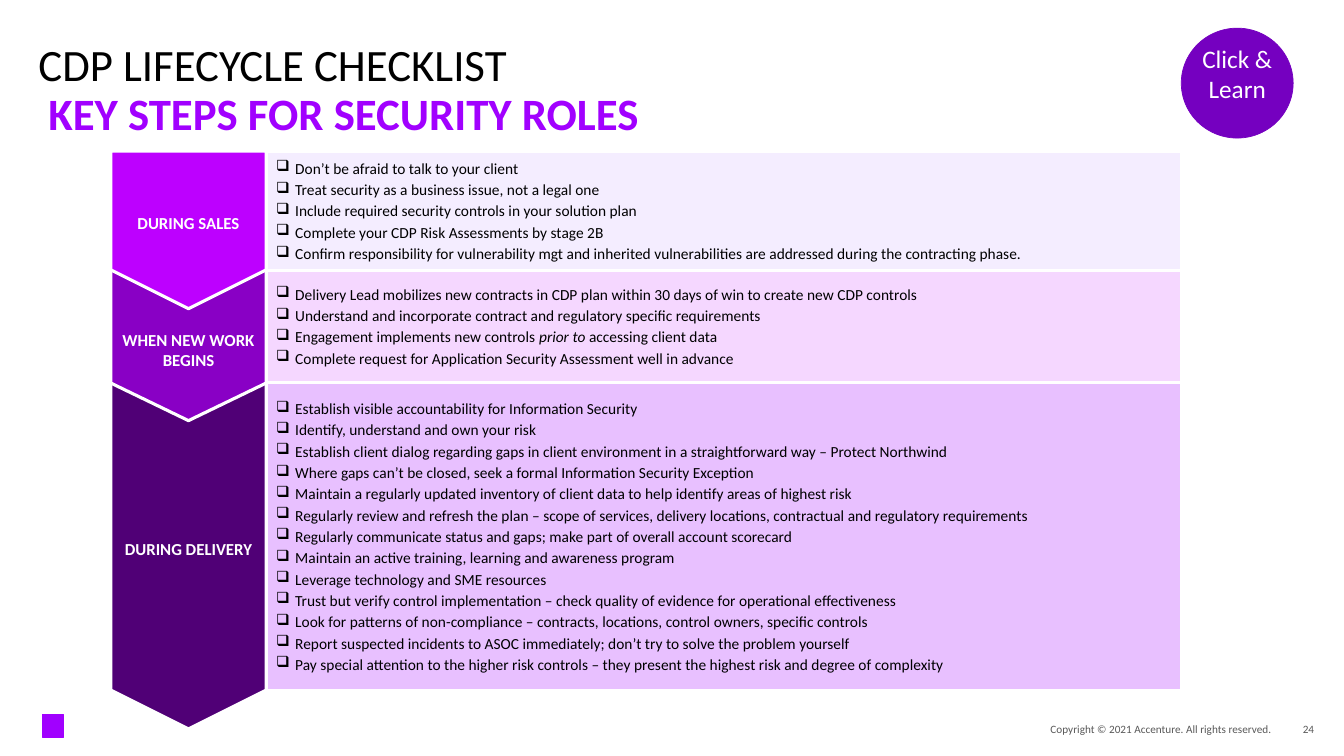
from dataclasses import dataclass

from lxml import etree
from pptx import Presentation
from pptx.dml.color import RGBColor as Rgb
from pptx.enum import shapes, text
from pptx.oxml import ns
from pptx.util import Cm, Pt


@dataclass(frozen=True)
class Theme:
    """Colours and type sizes of the slide."""
    font: str = "Calibri"
    black: str = "000000"
    white: str = "FFFFFF"
    grey: str = "595959"
    accent: str = "A100FF"
    badge: str = "7500C0"
    head: int = 32
    call: int = 18
    label: int = 12
    body: int = 11
    foot: int = 8


THEME = Theme()
MID = text.MSO_ANCHOR.MIDDLE
LOW = text.MSO_ANCHOR.BOTTOM
CENTER = text.PP_ALIGN.CENTER
RIGHT = text.PP_ALIGN.RIGHT
TIP = 0.97

STAGES = [
    ("DURING SALES", "BD00FF", "EADDFF", 3.0, 0, [
        "Don’t be afraid to talk to your client",
        "Treat security as a business issue, not a legal one",
        "Include required security controls in your solution plan",
        "Complete your CDP Risk Assessments by stage 2B",
        "Confirm responsibility for vulnerability mgt and inherited vulnerabilities "
        "are addressed during the contracting phase.",
    ]),
    ("WHEN NEW WORK BEGINS", "8900C5", "ECB0FF", 2.82, 0.58, [
        "Delivery Lead mobilizes new contracts in CDP plan within 30 days of win "
        "to create new CDP controls",
        "Understand and incorporate contract and regulatory specific requirements",
        "Engagement implements new controls *prior to *accessing client data",
        "Complete request for Application Security Assessment well in advance",
    ]),
    ("DURING DELIVERY", "500076", "D283FF", 7.77, 0, [
        "Establish visible accountability for Information Security",
        "Identify, understand and own your risk",
        "Establish client dialog regarding gaps in client environment in a "
        "straightforward way – Protect Northwind",
        "Where gaps can’t be closed, seek a formal Information Security Exception",
        "Maintain a regularly updated inventory of client data to help identify "
        "areas of highest risk",
        "Regularly review and refresh the plan – scope of services, delivery "
        "locations, contractual and regulatory requirements",
        "Regularly communicate status and gaps; make part of overall account scorecard",
        "Maintain an active training, learning and awareness program",
        "Leverage technology and SME resources",
        "Trust but verify control implementation – check quality of evidence for "
        "operational effectiveness",
        "Look for patterns of non-compliance – contracts, locations, control owners, "
        "specific controls",
        "Report suspected incidents to ASOC immediately; don’t try to solve the "
        "problem yourself",
        "Pay special attention to the higher risk controls – they present the "
        "highest risk and degree of complexity",
    ]),
]


def style(para, size, color, bold=False, align=None):
    """Set the type and alignment of a paragraph."""
    font = para.font
    font.name, font.size, font.bold = THEME.font, Pt(size), bold
    font.color.rgb = Rgb.from_string(color)
    para.alignment = align


def shape(slide, kind, box, fill, line, width):
    """Add a filled, outlined shape without shadow."""
    item = slide.shapes.add_shape(kind, *map(Cm, box))
    item.shadow.inherit = False
    item.fill.solid()
    item.fill.fore_color.rgb = Rgb.from_string(fill)
    item.line.color.rgb = Rgb.from_string(line)
    item.line.width = Pt(width)
    return item


def label(slide, box, words, size, color, bold=False, align=None, anchor=None, inset=0):
    """Add a one-paragraph text box."""
    frame = slide.shapes.add_textbox(*map(Cm, box)).text_frame
    frame.word_wrap = True
    frame.vertical_anchor = anchor
    frame.margin_left = frame.margin_right = Cm(inset)
    frame.margin_top = frame.margin_bottom = Cm(inset / 2)
    para = frame.paragraphs[0]
    para.text = words
    style(para, size, color, bold, align)
    return para


def heading(slide, left, top, width):
    """Place the title and its second line."""
    title = label(slide, (left, top, width, 1.22), "CDP LIFECYCLE CHECKLIST",
                  THEME.head, THEME.black)
    title.line_spacing = 0.9
    label(slide, (left, top + 0.97, width, 1), "KEY STEPS FOR SECURITY ROLES",
          THEME.head, THEME.accent, True, inset=0.25)


def badge(slide, left, top, width, height):
    """Place the round badge with its caption."""
    shape(slide, shapes.MSO_SHAPE.OVAL, (left, top, width, height),
          THEME.badge, THEME.badge, 0.5)
    label(slide, (left + 0.31, top + 0.38, width - 0.62, 1.2), "Click & Learn",
          THEME.call, THEME.white, align=CENTER)


def arrow(slide, left, top, width, height, words, color, drop):
    """Place a stage arrow that points down, its text upright."""
    box = (left + (width - height) / 2, top + (height - width) / 2, height, width)
    item = shape(slide, shapes.MSO_SHAPE.PENTAGON, box, color, THEME.white, 2.25)
    item.rotation = 90
    item.adjustments[0] = 0.25
    frame = item.text_frame
    frame.word_wrap = True
    frame.vertical_anchor = MID
    frame.margin_left = Cm(0.25 + drop)
    frame._txBody.bodyPr.set("vert", "vert270")
    para = frame.paragraphs[0]
    para.text = words
    para.space_after = Pt(2)
    style(para, THEME.label, THEME.white, True, CENTER)


def panel(slide, left, top, width, height, color, steps):
    """Place the tinted box with the check list of a stage."""
    item = shape(slide, shapes.MSO_SHAPE.RECTANGLE, (left, top, width, height),
                 color, THEME.white, 2.25)
    tint = item._element.spPr.find(".//" + ns.qn("a:srgbClr"))
    etree.SubElement(tint, ns.qn("a:alpha"), val="50000")
    frame = item.text_frame
    frame.word_wrap = True
    frame.vertical_anchor = MID
    for i, step in enumerate(steps):
        para = frame.add_paragraph() if i else frame.paragraphs[0]
        props = para._p.get_or_add_pPr()
        props.set("marL", str(Cm(0.48)))
        props.set("indent", str(-Cm(0.48)))
        etree.SubElement(props, ns.qn("a:buChar"), char="❑")
        for j, part in enumerate(step.split("*")):
            run = para.add_run()
            run.text = part
            if j % 2:
                run.font.italic = True
        para.space_after = Pt(2)
        style(para, THEME.body, THEME.black, align=text.PP_ALIGN.LEFT)


def stages(slide, left, top, width):
    """Stack the stages, each arrow overlapping the next one."""
    side = 3.92
    base = top + sum(stage[3] for stage in STAGES)
    for words, dark, light, height, drop, steps in reversed(STAGES):
        base -= height
        panel(slide, left + side, base, width - side, height, light, steps)
        arrow(slide, left, base, side, height + TIP, words, dark, drop)


def footer(slide, left, top, width):
    """Place the corner mark, the copyright line and the page number."""
    shape(slide, shapes.MSO_SHAPE.RECTANGLE, (left, top - 0.2, 0.53, 0.56),
          THEME.accent, THEME.accent, 0.5)
    edge = left + width
    for words, right, span in (("Copyright © 2021 Accenture. All rights reserved.", 1.07, 8.8),
                               ("24", 0, 1.07)):
        label(slide, (edge - right - span, top, span, 0.33), words,
              THEME.foot, THEME.grey, align=RIGHT, anchor=LOW)


def main():
    """Build the slide and save it."""
    deck = Presentation()
    deck.slide_width, deck.slide_height = Cm(33.87), Cm(19.05)
    slide = deck.slides.add_slide(deck.slide_layouts[6])
    footer(slide, 1.07, 18.21, 32.05)
    heading(slide, 0.97, 1.07, 28)
    badge(slide, 29.77, 0.71, 2.82, 2.77)
    stages(slide, 2.79, 3.81, 26.98)
    deck.save("out.pptx")


if __name__ == "__main__":
    main()
